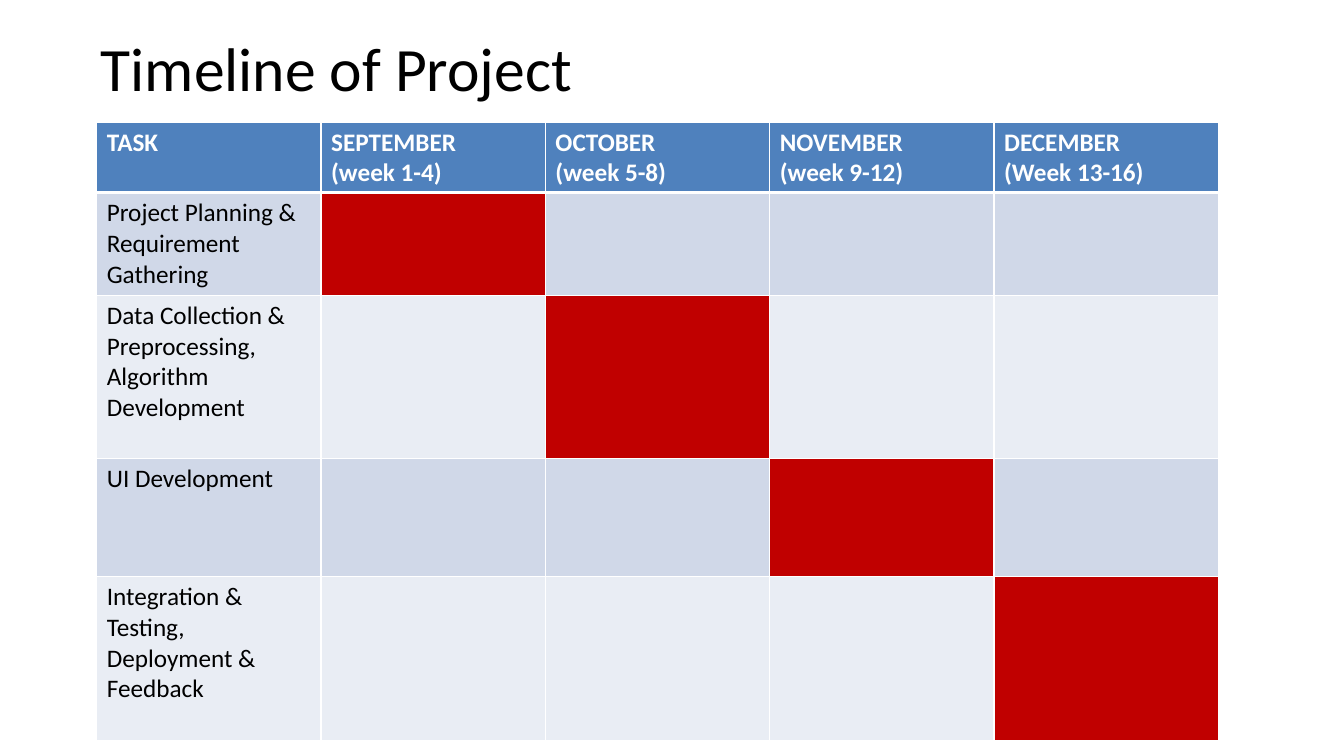
from lxml import etree
from pptx import Presentation
from pptx.dml.color import RGBColor as Rgb
from pptx.oxml.ns import qn
from pptx.util import Inches, Pt

# Content
TITLE = "Timeline of Project"
HEADS = ["TASK", "SEPTEMBER\n(week 1-4)", "OCTOBER\n(week 5-8)",
         "NOVEMBER\n(week 9-12)", "DECEMBER\n(Week 13-16)"]
# Each task: name, column of its active month, row height
TASKS = [
    ("Project Planning & Requirement Gathering", 1, 1.02),
    ("Data Collection & Preprocessing, Algorithm Development", 2, 1.62),
    ("UI Development", 3, 1.17),
    ("Integration & Testing, Deployment &\nFeedback", 4, 1.63),
]
COLORS = {"head": "4F81BD", "odd": "D0D8E8", "even": "E9EDF4",
          "active": "C00000", "white": "FFFFFF", "black": "000000"}
FONT = "Calibri"
LEFT, TOP, COL, HEAD = 0.96, 1.21, 2.225, 0.7


def write(frame, text, size=18, color="black", bold=False):
    frame.word_wrap = True
    frame.text = text
    for para in frame.paragraphs:
        font = para.font
        for run in para.runs:
            font = run.font
            font.name, font.size, font.bold = FONT, Pt(size), bold
            font.color.rgb = Rgb.from_string(COLORS[color])


def border(cell, **widths):
    props = cell._tc.get_or_add_tcPr()
    for side in "LRTB":
        line = etree.SubElement(props, qn(f"a:ln{side}"),
                                w=str(Pt(widths.get(side, 1))))
        fill = etree.SubElement(line, qn("a:solidFill"))
        etree.SubElement(fill, qn("a:srgbClr"), val=COLORS["white"])


def paint(cell, color):
    cell.fill.solid()
    cell.fill.fore_color.rgb = Rgb.from_string(COLORS[color])


deck = Presentation()
deck.slide_width, deck.slide_height = Inches(13.33), Inches(7.5)
slide = deck.slides.add_slide(deck.slide_layouts[6])

# Title
box = slide.shapes.add_textbox(Inches(1), Inches(0.3), Inches(9.78), Inches(0.74))
frame = box.text_frame
frame.margin_left = frame.margin_right = frame.margin_top = frame.margin_bottom = 0
write(frame, TITLE, size=44)

# Table grid
highs = [HEAD] + [high for _, _, high in TASKS]
table = slide.shapes.add_table(
    len(highs), len(HEADS), Inches(LEFT), Inches(TOP),
    Inches(COL * len(HEADS)), Inches(sum(highs))).table
for col in table.columns:
    col.width = Inches(COL)
for row, high in zip(table.rows, highs):
    row.height = Inches(high)

# Header row
for col, head in enumerate(HEADS):
    cell = table.cell(0, col)
    border(cell, B=3)
    paint(cell, "head")
    write(cell.text_frame, head, color="white", bold=True)

# Task rows, with the active month marked
for row, (name, month, _) in enumerate(TASKS, 1):
    band = "odd" if row % 2 else "even"
    for col in range(len(HEADS)):
        cell = table.cell(row, col)
        border(cell, T=3 if row == 1 else 1)
        paint(cell, "active" if col == month else band)
    write(table.cell(row, 0).text_frame, name)

deck.save("out.pptx")
